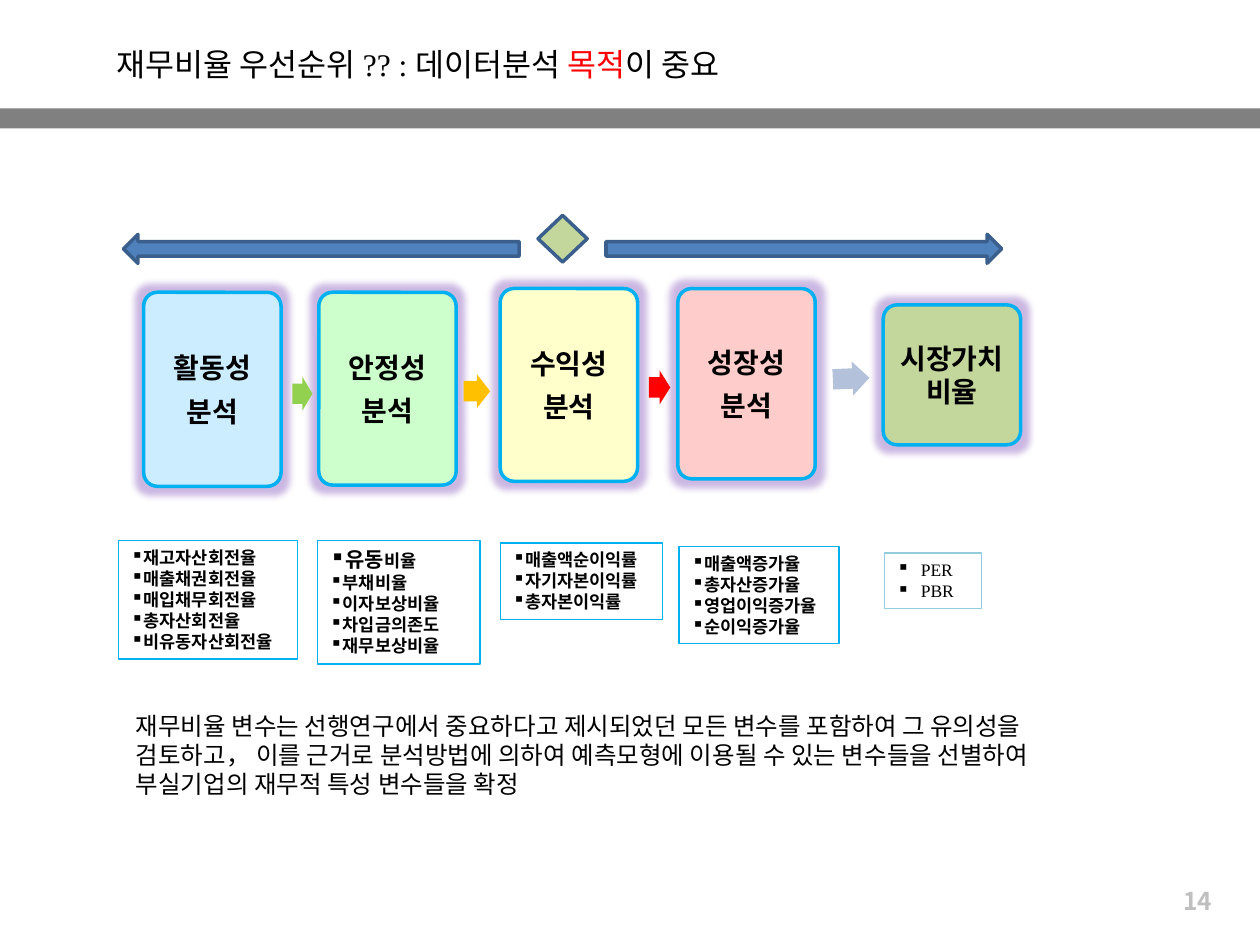
from lxml import etree
from pptx import Presentation
from pptx.dml.color import RGBColor
from pptx.enum.shapes import MSO_SHAPE
from pptx.enum.text import MSO_ANCHOR, MSO_AUTO_SIZE, PP_ALIGN
from pptx.oxml.ns import qn
from pptx.util import Inches, Pt

BLACK = RGBColor(0x00, 0x00, 0x00)
RED = RGBColor(0xFF, 0x00, 0x00)
GRAY = RGBColor(0x80, 0x80, 0x80)
PALE_GRAY = RGBColor(0xBF, 0xBF, 0xBF)
SKY = RGBColor(0x00, 0xB0, 0xF0)
TEAL = RGBColor(0x93, 0xCD, 0xDD)
BLUE = RGBColor(0x4F, 0x81, 0xBD)
NAVY = RGBColor(0x3A, 0x5F, 0x8C)
OLIVE = RGBColor(0xC3, 0xD6, 0x9B)
ICE = RGBColor(0xCC, 0xEC, 0xFF)
MINT = RGBColor(0xCC, 0xFF, 0xCC)
CREAM = RGBColor(0xFF, 0xFF, 0xCC)
PINK = RGBColor(0xFF, 0xCC, 0xCC)
GREEN = RGBColor(0x92, 0xD0, 0x50)
AMBER = RGBColor(0xFF, 0xC0, 0x00)
STEEL = RGBColor(0xB3, 0xC1, 0xDB)
GLOW = RGBColor(0x80, 0x64, 0xA2)

RECT, ROUNDED = MSO_SHAPE.RECTANGLE, MSO_SHAPE.ROUNDED_RECTANGLE
ARROW, DIAMOND = MSO_SHAPE.RIGHT_ARROW, MSO_SHAPE.DIAMOND
TOP, MIDDLE = MSO_ANCHOR.TOP, MSO_ANCHOR.MIDDLE
LEFT, CENTER, RIGHT = PP_ALIGN.LEFT, PP_ALIGN.CENTER, PP_ALIGN.RIGHT
GROW = MSO_AUTO_SIZE.SHAPE_TO_FIT_TEXT
SANS, SERIF = "Noto Sans CJK KR", "Times New Roman"
COLUMNS, ROWS = 100, 75


def write(holder, paragraphs, size, font=SANS, color=BLACK, bold=False, align=LEFT,
          anchor=TOP, after=0, bullet=None, hang=0, grow=True):
    frame = holder.text_frame
    frame.word_wrap = True
    frame.vertical_anchor = anchor
    if grow:
        frame.auto_size = GROW
    for index, runs in enumerate(paragraphs):
        paragraph = frame.add_paragraph() if index else frame.paragraphs[0]
        paragraph.alignment = align
        paragraph.space_after = Pt(after)
        if bullet:
            properties = paragraph._p.get_or_add_pPr()
            properties.set("marL", str(Inches(hang)))
            properties.set("indent", str(-Inches(hang)))
            etree.SubElement(properties, qn("a:buChar")).set("char", bullet)
        for content, changes in ([(runs, {})] if isinstance(runs, str) else runs):
            run = paragraph.add_run()
            run.text = content
            run.font.size = Pt(changes.get("size", size))
            run.font.bold = bold
            run.font.color.rgb = changes.get("color", color)
            run.font.name = font
            east_asian = etree.SubElement(run._r.get_or_add_rPr(), qn("a:ea"))
            east_asian.set("typeface", SANS)


class RatioSlide:
    def __init__(self, deck):
        self.slide = deck.slides.add_slide(deck.slide_layouts[6])
        self.column = deck.slide_width / COLUMNS
        self.row = deck.slide_height / ROWS

    def place(self, left, top, width, height):
        return (round(left * self.column), round(top * self.row),
                round(width * self.column), round(height * self.row))

    def shape(self, kind, area, fill=None, line=None, weight=2, adjustments=(), turn=0):
        shape = self.slide.shapes.add_shape(kind, *self.place(*area))
        shape.shadow.inherit = False
        shape.rotation = turn
        for index, value in enumerate(adjustments):
            shape.adjustments[index] = value
        if fill is None:
            shape.fill.background()
        else:
            shape.fill.solid()
            shape.fill.fore_color.rgb = fill
        if line is None:
            shape.line.fill.background()
        else:
            shape.line.color.rgb = line
            shape.line.width = Pt(weight)
        return shape

    def text(self, area, paragraphs, size, **style):
        write(self.slide.shapes.add_textbox(*self.place(*area)), paragraphs, size, **style)

    def card(self, area, fill, lines):
        card = self.shape(ROUNDED, area, fill, SKY, adjustments=(0.1,))
        effects = card._element.spPr.find(qn("a:effectLst"))
        glow = etree.SubElement(effects, qn("a:glow"), rad=str(Pt(8)))
        tint = etree.SubElement(glow, qn("a:srgbClr"), val=str(GLOW))
        etree.SubElement(tint, qn("a:alpha"), val="40000")
        etree.SubElement(tint, qn("a:satMod"), val="175000")
        write(card, lines, 16, bold=True, align=CENTER, anchor=MIDDLE, after=5.6, grow=False)

    def step(self, area, fill, turn=0):
        self.shape(ARROW, area, fill, adjustments=(0.6, 0.5), turn=turn)

    def ratios(self, area, items, line=SKY, **style):
        box = self.shape(RECT, area, line=line, weight=0.75)
        write(box, items, 10, bullet="▪", **style)


def main():
    deck = Presentation()
    deck.slide_width, deck.slide_height = Inches(10), Inches(7.5)
    page = RatioSlide(deck)

    page.shape(RECT, (0, 8.6, COLUMNS, 1.6), GRAY)
    page.text((8.3, 3.1, 65.4, 4), [[("재무비율 우선순위 ?? : 데이터분석", {}),
              (" 목적", {"color": RED}), ("이 중요", {})]], 18, font=SERIF)

    for left, turn in ((48.1, 0), (9.8, 180)):
        page.shape(ARROW, (left, 18.6, 31.4, 2.3), BLUE, NAVY, turn=turn)
    page.shape(DIAMOND, (42.7, 17.1, 3.9, 3.7), OLIVE, NAVY)

    for left, top, height, fill, lines in (
        (11.4, 23.2, 15.4, ICE, ["활동성", "분석"]),
        (25.3, 23.2, 15.3, MINT, ["안정성", "분석"]),
        (39.7, 22.9, 15.3, CREAM, ["수익성", "분석"]),
        (53.8, 22.9, 15.1, PINK, ["성장성", "분석"]),
        (70.1, 24.2, 11.1, OLIVE, ["시장가치비율"]),
    ):
        page.card((left, top, 10.9, height), fill, lines)

    for left, top, width, fill, turn in (
        (23.2, 29.9, 1.6, GREEN, 0),
        (36.8, 29.7, 2.1, AMBER, 0),
        (51.5, 29.4, 1.7, RED, 0),
        (66.1, 28.7, 2.9, STEEL, -2.5),
    ):
        page.step((left, top, width, 2.7), fill, turn)

    for area, items in (
        ((9.4, 42.9, 14.2, 9.4),
         ["재고자산회전율", "매출채권회전율", "매입채무회전율", "총자산회전율", "비유동자산회전율"]),
        ((25.2, 42.9, 12.9, 9.8),
         [[("유동", {"size": 12}), ("비율", {})],
          "부채비율", "이자보상비율", "차입금의존도", "재무보상비율"]),
        ((39.7, 43.1, 12.9, 6.1), ["매출액순이익률", "자기자본이익률", "총자본이익률"]),
        ((53.9, 43.4, 12.7, 7.7),
         ["매출액증가율", "총자산증가율", "영업이익증가율", "순이익증가율"]),
    ):
        page.ratios(area, items, bold=True)
    page.ratios((70.2, 43.9, 7.7, 4.4), ["PER", "PBR"], line=TEAL, font=SERIF, hang=0.19)

    page.text((9.8, 55.9, 79.6, 8.1), [
        "재무비율 변수는 선행연구에서 중요하다고 제시되었던 모든 변수를 포함하여 그 유의성을 "
        "검토하고， 이를 근거로 분석방법에 의하여 예측모형에 이용될 수 있는 변수들을 선별하여 "
        "부실기업의 재무적 특성 변수들을 확정"], 14, font=SERIF)
    page.text((81.5, 69.8, 15.7, 3.4), ["14"], 14, color=PALE_GRAY, bold=True, align=RIGHT)

    deck.save("out.pptx")


if __name__ == "__main__":
    main()
